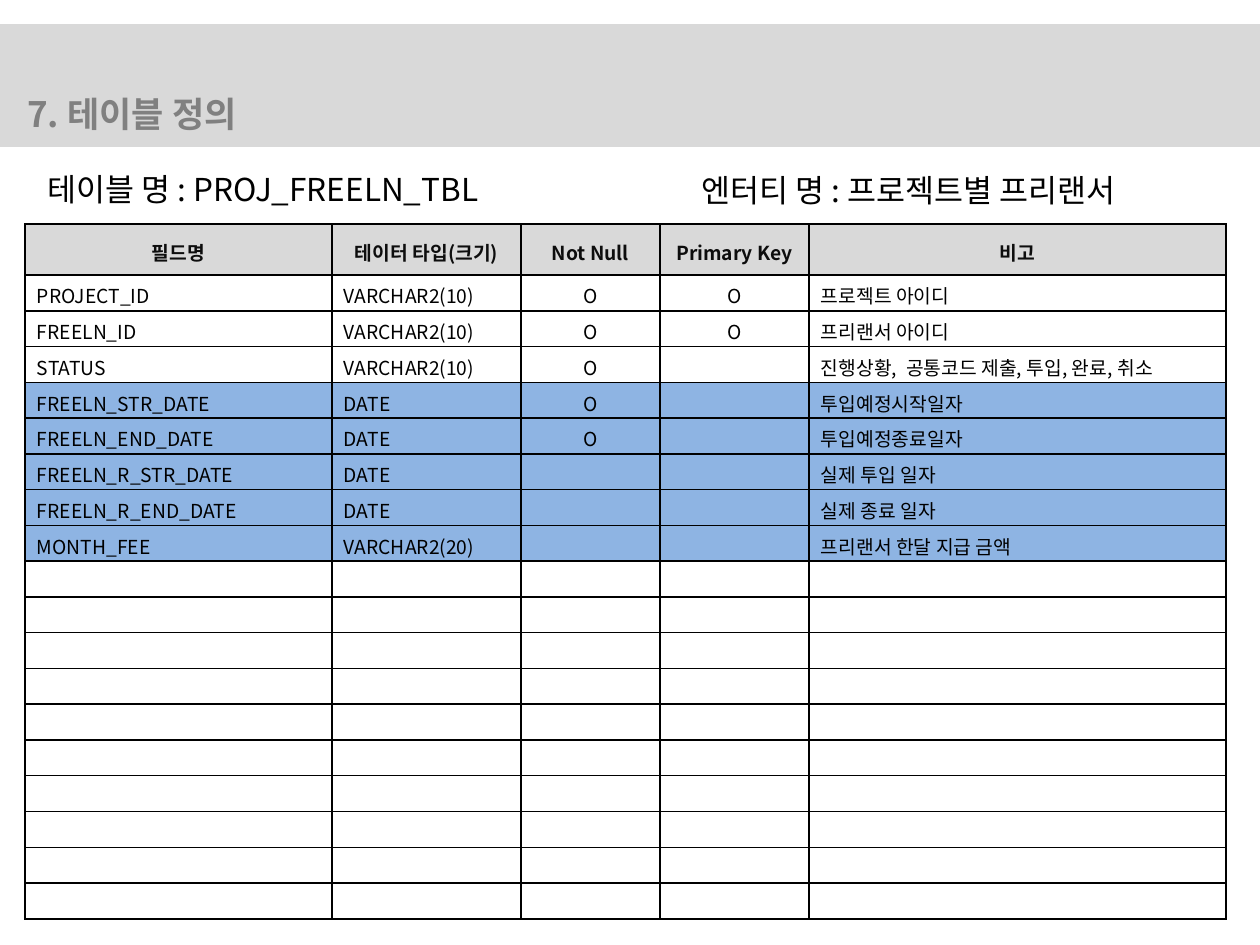
from lxml.etree import SubElement
from pptx import Presentation
from pptx.dml.color import RGBColor
from pptx.enum.shapes import MSO_SHAPE
from pptx.enum.text import MSO_ANCHOR, MSO_AUTO_SIZE, PP_ALIGN
from pptx.oxml.ns import qn
from pptx.util import Emu, Pt

PX_PER_INCH = 126
FONT = "Noto Sans CJK KR"
COLORS = {
    "band": "D9D9D9",
    "title": "808080",
    "header": "0D0D0D",
    "text": "000000",
    "plain": "FFFFFF",
    "marked": "8EB4E3",
}
HEADERS = ["필드명", "테이터 타입(크기)", "Not Null", "Primary Key", "비고"]
FIELDS = [
    ["PROJECT_ID", "VARCHAR2(10)", "O", "O", "프로젝트 아이디"],
    ["FREELN_ID", "VARCHAR2(10)", "O", "O", "프리랜서 아이디"],
    ["STATUS", "VARCHAR2(10)", "O", "", "진행상황,  공통코드 제출, 투입, 완료, 취소"],
    ["FREELN_STR_DATE", "DATE", "O", "", "투입예정시작일자"],
    ["FREELN_END_DATE", "DATE", "O", "", "투입예정종료일자"],
    ["FREELN_R_STR_DATE", "DATE", "", "", "실제 투입 일자"],
    ["FREELN_R_END_DATE", "DATE", "", "", "실제 종료 일자"],
    ["MONTH_FEE", "VARCHAR2(20)", "", "", "프리랜서 한달 지급 금액"],
]
EMPTY_ROWS = 10
MARKED_ROWS = range(4, 9)
CENTERED_COLS = (2, 3)
COL_WIDTHS = [307, 189, 139, 149, 417]
HEADER_HEIGHT = 51
TABLE_HEIGHT = 695


def px(n):
    return Emu(round(n * 914400 / PX_PER_INCH))


def rgb(name):
    return RGBColor.from_string(COLORS[name])


def write(tf, text, size=11, color="text", bold=False, align=PP_ALIGN.LEFT):
    p = tf.paragraphs[0]
    p.alignment = align
    if not text:
        # The end mark's size keeps an empty row from growing.
        SubElement(p._p, qn("a:endParaRPr"), sz=str(size * 100))
        return
    r = p.add_run()
    r.text = text
    r.font.size, r.font.bold, r.font.name = Pt(size), bold, FONT
    r.font.color.rgb = rgb(color)
    SubElement(r._r.get_or_add_rPr(), qn("a:ea"), typeface=FONT)


def set_borders(cell, color="text", width=1):
    tcPr = cell._tc.get_or_add_tcPr()
    for side in ("lnL", "lnR", "lnT", "lnB"):
        ln = SubElement(tcPr, qn(f"a:{side}"), w=str(Pt(width)))
        fill = SubElement(ln, qn("a:solidFill"))
        SubElement(fill, qn("a:srgbClr"), val=COLORS[color])


class SlideBuilder:
    def __init__(self, prs):
        self.s = prs.slides.add_slide(prs.slide_layouts[6])

    def band(self, x, y, w, h):
        sp = self.s.shapes.add_shape(MSO_SHAPE.RECTANGLE, px(x), px(y), px(w), px(h))
        sp.shadow.inherit = False
        sp.fill.solid()
        sp.fill.fore_color.rgb = rgb("band")
        sp.line.color.rgb = rgb("band")
        sp.line.width = Pt(2)

    def text(self, x, y, w, h, text, **style):
        tf = self.s.shapes.add_textbox(px(x), px(y), px(w), px(h)).text_frame
        tf.word_wrap = True
        tf.auto_size = MSO_AUTO_SIZE.SHAPE_TO_FIT_TEXT
        write(tf, text, **style)

    def cell(self, cell, text, fill, **style):
        set_borders(cell)
        cell.fill.solid()
        cell.fill.fore_color.rgb = rgb(fill)
        cell.vertical_anchor = MSO_ANCHOR.MIDDLE
        cell.margin_left = cell.margin_right = px(12)
        cell.margin_top, cell.margin_bottom = px(6), px(1)
        write(cell.text_frame, text, **style)

    def field_table(self, x, y):
        rows = FIELDS + [[""] * len(HEADERS)] * EMPTY_ROWS
        table = self.s.shapes.add_table(
            len(rows) + 1, len(HEADERS), px(x), px(y),
            px(sum(COL_WIDTHS)), px(TABLE_HEIGHT)).table
        table.first_row = table.horz_banding = False
        for col, width in zip(table.columns, COL_WIDTHS):
            col.width = px(width)
        for row in table.rows:
            row.height = px((TABLE_HEIGHT - HEADER_HEIGHT) / len(rows))
        table.rows[0].height = px(HEADER_HEIGHT)

        for c, text in enumerate(HEADERS):
            self.cell(table.cell(0, c), text, "band", color="header",
                      bold=True, align=PP_ALIGN.CENTER)
        for i, row in enumerate(rows, 1):
            fill = "marked" if i in MARKED_ROWS else "plain"
            for c, text in enumerate(row):
                align = PP_ALIGN.CENTER if c in CENTERED_COLS else PP_ALIGN.LEFT
                self.cell(table.cell(i, c), text, fill, align=align)


def main():
    prs = Presentation()
    prs.slide_width, prs.slide_height = px(1260), px(945)
    b = SlideBuilder(prs)
    b.band(0, 26, 1260, 119)
    b.text(15, 86, 476, 55, "7. 테이블 정의", size=20, color="title", bold=True)
    b.field_table(25, 224)
    b.text(35, 164, 476, 50, "테이블 명 : PROJ_FREELN_TBL", size=18)
    b.text(689, 165, 536, 50, "엔터티 명 : 프로젝트별 프리랜서", size=18)
    prs.save("out.pptx")


if __name__ == "__main__":
    main()
